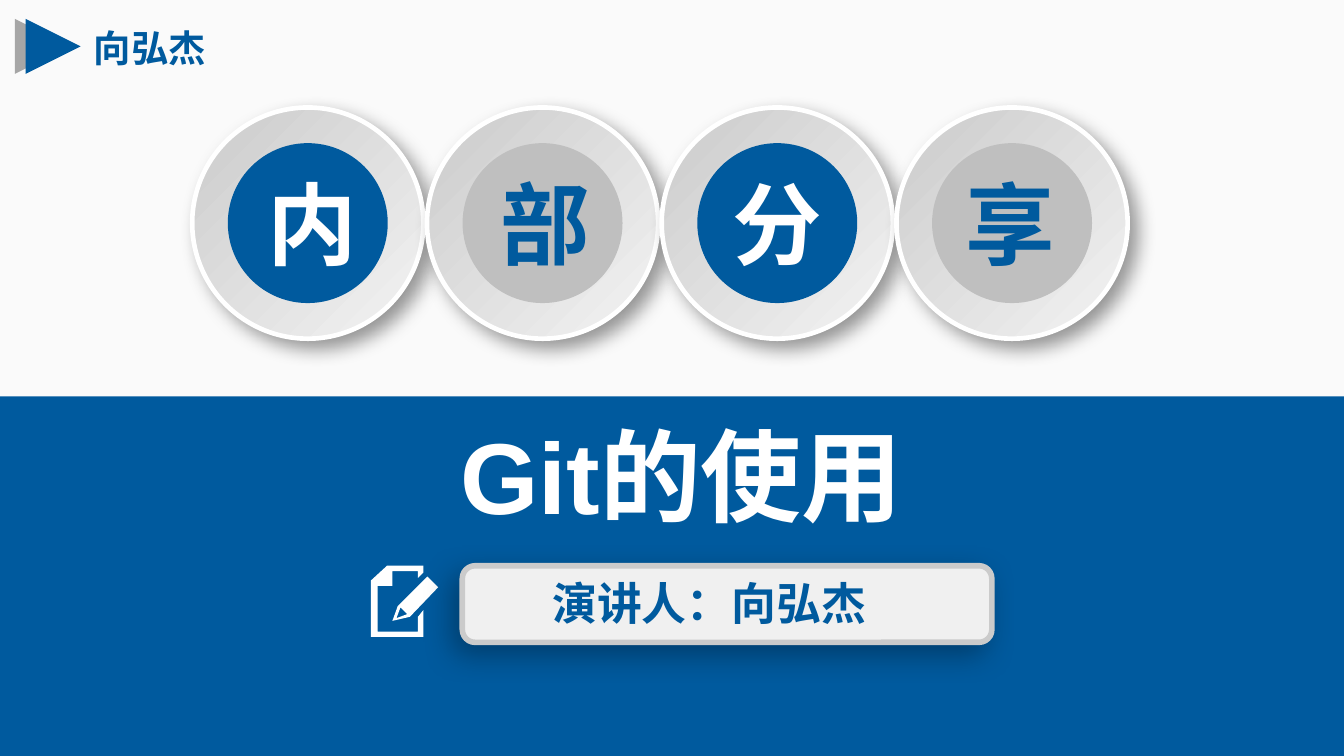
import pptx
import pptx.util
import pptx.dml.color
import pptx.enum.shapes
import pptx.enum.text
import pptx.oxml
import pptx.oxml.ns

WIDTH = 10
HEIGHT = WIDTH * 9 / 16
COLORS = {
    "blue": "005A9E", "white": "FFFFFF", "gray": "A6A6A6", "disc": "BFBFBF",
    "rim": "CBCBCB", "ring_end": "F3F3F3", "panel": "F0F0F0", "panel_end": "F1F1F1",
    "page": "FAFAFA", "page_end": "FCFCFC",
}
SHEET = [(35, 49), (5, 49), (5, 15), (16, 15), (16, 4), (35, 4), (35, 9), (39, 5),
         (39, 0), (12, 0), (0, 11), (0, 53), (39, 53), (39, 33), (35, 38)]
PENCIL = [(20, 30), (16, 41), (29, 38), (50, 16), (42, 8)]
NIB = [(27, 36), (19, 39), (22, 31)]
SHAPE = pptx.enum.shapes.MSO_SHAPE
ALIGN = pptx.enum.text.PP_ALIGN


def rgb(name):
    """Return the named palette colour."""
    return pptx.dml.color.RGBColor.from_string(COLORS[name])


def inches(box):
    """Convert a box in inches to lengths."""
    return [pptx.util.Inches(value) for value in box]


def centered(box, width, height, shift=0):
    """Return a box of the given size around the centre of another."""
    left, top, outer_width, outer_height = box
    return (left + (outer_width - width) / 2 + shift, top + (outer_height - height) / 2,
            width, height)


def paint_gradient(fill, start, end, angle):
    """Fill with a two-colour linear gradient at a clockwise angle."""
    fill.gradient()
    fill.gradient_angle = 360 - angle
    for stop, name in zip(fill.gradient_stops, (start, end)):
        stop.color.rgb = rgb(name)


def add_solid(shapes, kind, box, color):
    """Add a flat preset shape without outline."""
    shape = shapes.add_shape(kind, *inches(box))
    shape.shadow.inherit = False
    shape.fill.solid()
    shape.fill.fore_color.rgb = rgb(color)
    shape.line.fill.background()
    return shape


def add_raised(shapes, kind, box, gradient, line, shadow):
    """Add a gradient shape with an outline and a soft outer shadow."""
    shape = add_solid(shapes, kind, box, gradient[0])
    paint_gradient(shape.fill, *gradient, 45)
    shape.line.color.rgb = rgb(line[0])
    shape.line.width = pptx.util.Pt(line[1])
    alpha, blur, distance, direction = shadow
    effects = shape.element.spPr.find(pptx.oxml.ns.qn("a:effectLst"))
    effects.append(pptx.oxml.parse_xml(
        f'<a:outerShdw {pptx.oxml.ns.nsdecls("a")} blurRad="{blur * 12700}" '
        f'dist="{distance * 12700}" dir="{direction * 60000}" algn="ctr" rotWithShape="0">'
        f'<a:srgbClr val="000000"><a:alpha val="{alpha * 1000}"/></a:srgbClr></a:outerShdw>'))
    return shape


def write(holder, text, size, color, align=ALIGN.LEFT, wrap=True):
    """Write one bold line at the top of a text holder."""
    frame = holder.text_frame
    frame.text = text
    frame.word_wrap = wrap
    frame.auto_size = pptx.enum.text.MSO_AUTO_SIZE.NONE
    frame.vertical_anchor = pptx.enum.text.MSO_ANCHOR.TOP
    paragraph = frame.paragraphs[0]
    paragraph.alignment = align
    paragraph.space_before = pptx.util.Pt(0)
    paragraph.font.name = "Arial"
    paragraph.font.size = pptx.util.Pt(size)
    paragraph.font.bold = True
    paragraph.font.color.rgb = rgb(color)


def place(slide, placeholder, box):
    """Bring a placeholder to the front and set its box."""
    slide.shapes.element.append(placeholder.element)
    placeholder.left, placeholder.top, placeholder.width, placeholder.height = inches(box)


def add_header(slide, box, name):
    """Add the double arrow and the name beside it."""
    left, top, width, height = box
    for offset, color in ((0, "gray"), (0.08, "blue")):
        arrow = add_solid(slide.shapes, SHAPE.FLOWCHART_EXTRACT,
                          (left + offset, top, height, height), color)
        arrow.rotation = 90
    label = slide.shapes.add_textbox(*inches((left + 0.49, top, width - 0.49, height)))
    write(label, name, 20, "blue")


def add_medallions(slide, box, characters, shifts):
    """Spread one ringed character over each column of the box."""
    left, top, width, height = box
    pitch = (width - height) / (len(characters) - 1)
    for column, (character, shift) in enumerate(zip(characters, shifts)):
        ring = (left + column * pitch, top, height, height)
        disc_color, text_color = (("blue", "white"), ("disc", "blue"))[column % 2]
        shapes = slide.shapes.add_group_shape().shapes
        add_raised(shapes, SHAPE.OVAL, ring, ("rim", "ring_end"), ("white", 2.5), (40, 10, 6, 45))
        add_solid(shapes, SHAPE.OVAL, centered(ring, 1.19, 1.19), disc_color)
        label = shapes.add_textbox(*inches(centered(ring, 0.94, 0.91, shift)))
        write(label, character, 48, text_color, ALIGN.CENTER)


def add_note_icon(slide, box):
    """Draw a sheet with a pencil on a grid fifty units wide."""
    left, top, width, _ = box
    shapes = slide.shapes.add_group_shape().shapes
    for outlines in ([SHEET], [PENCIL, NIB]):
        builder = shapes.build_freeform(*outlines[0][0], scale=pptx.util.Inches(width) / 50)
        builder.add_line_segments(outlines[0][1:], close=True)
        for outline in outlines[1:]:
            builder.move_to(*outline[0])
            builder.add_line_segments(outline[1:], close=True)
        part = builder.convert_to_shape(*inches((left, top)))
        part.shadow.inherit = False
        part.fill.solid()
        part.fill.fore_color.rgb = rgb("white")
        part.line.fill.background()


def add_title_band(slide, box, title, presenter):
    """Add the blue band with the title and the presenter panel."""
    left, top, width, height = box
    add_solid(slide.shapes, SHAPE.RECTANGLE, box, "blue")
    place(slide, slide.shapes.title, (left + 0.07, top + 0.08, width, 1.92))
    write(slide.shapes.title, title, 54, "white", ALIGN.CENTER)
    panel_top = top + 1.26
    add_note_icon(slide, (left + 2.76, panel_top, 0.5, 0.54))
    add_raised(slide.shapes, SHAPE.ROUNDED_RECTANGLE, (left + 3.44, panel_top, 3.94, 0.57),
               ("panel", "panel_end"), ("rim", 3), (30, 16, 7, 135))
    subtitle = slide.placeholders[1]
    place(slide, subtitle, (left + 4.01, panel_top + 0.02, 2.56, 0.5))
    write(subtitle, presenter, 24, "blue", wrap=False)


def main():
    """Build the cover slide and save it."""
    deck = pptx.Presentation()
    deck.slide_width, deck.slide_height = inches((WIDTH, HEIGHT))
    slide = deck.slides.add_slide(deck.slide_layouts[0])
    paint_gradient(slide.background.fill, "page", "page_end", 90)
    band_top = 2.95
    add_title_band(slide, (0, band_top, WIDTH, HEIGHT - band_top), "Git的使用", "演讲人：向弘杰")
    add_header(slide, (0.11, 0.14, 2.55, 0.41), "向弘杰")
    add_medallions(slide, (1.43, 0.8, 6.96, 1.72), "内部分享", (0.03, 0.02, 0, -0.01))
    deck.save("out.pptx")


if __name__ == "__main__":
    main()
